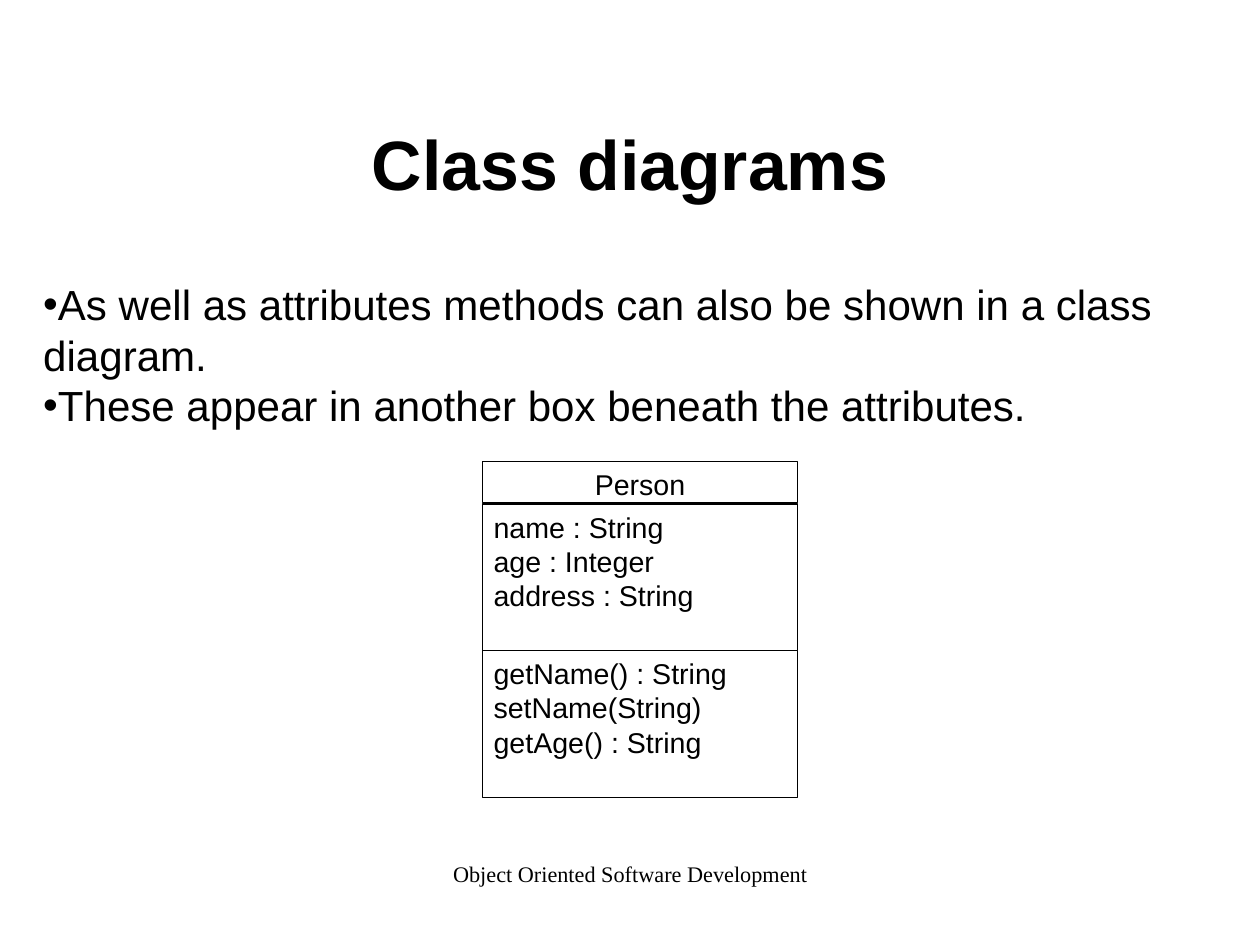
import pptx
import pptx.util
import pptx.dml.color
import pptx.enum.shapes
import pptx.enum.text
import pptx.oxml.ns
from lxml import etree

Inches = pptx.util.Inches
BLACK = pptx.dml.color.RGBColor(0, 0, 0)
WHITE = pptx.dml.color.RGBColor(255, 255, 255)
ALIGN = pptx.enum.text.PP_ALIGN
ANCHOR = pptx.enum.text.MSO_ANCHOR


def write(frame, lines, size, align=ALIGN.LEFT, font="Arial", bold=False, bullet=False):
    frame.word_wrap = True
    for i, line in enumerate(lines):
        para = frame.add_paragraph() if i else frame.paragraphs[0]
        para.text = line
        para.alignment = align
        if bullet:
            props = para._p.get_or_add_pPr()
            props.set("marL", "0")
            props.set("indent", "0")
            face = etree.SubElement(props, pptx.oxml.ns.qn("a:buFont"))
            face.set("typeface", font)
            mark = etree.SubElement(props, pptx.oxml.ns.qn("a:buChar"))
            mark.set("char", "•")
        para.font.name = font
        para.font.size = pptx.util.Pt(size)
        para.font.bold = bold
        para.font.color.rgb = BLACK


deck = pptx.Presentation()
deck.slide_width = Inches(28 / 2.54)
deck.slide_height = Inches(21 / 2.54)
slide = deck.slides.add_slide(deck.slide_layouts[5])
shapes = slide.shapes

foot = shapes.add_textbox(Inches(3.77), Inches(7.53), Inches(3.49), Inches(0.57)).text_frame
foot.margin_left = foot.margin_right = foot.margin_top = foot.margin_bottom = 0
write(foot, ["Object Oriented Software Development"], 14, ALIGN.CENTER, "Times New Roman")

title = shapes.title
title.left, title.top = Inches(0.83), Inches(1)
title.width, title.height = Inches(9.37), Inches(0.84)
title.text_frame.vertical_anchor = ANCHOR.MIDDLE
write(title.text_frame, ["Class diagrams"], 44, ALIGN.CENTER, bold=True)

body = shapes.add_textbox(Inches(0.28), Inches(2.39), Inches(10.38), Inches(1.43))
write(body.text_frame, [
    "As well as attributes methods can also be shown in a class diagram.",
    "These appear in another box beneath the attributes.",
], 26.5, bullet=True)

parts = [
    (4.04, 0.36, ALIGN.CENTER, ["Person"]),
    (4.41, 1.29, ALIGN.LEFT, ["name : String", "age : Integer", "address : String"]),
    (5.69, 1.29, ALIGN.LEFT, ["getName() : String", "setName(String)", "getAge() : String"]),
]
for top, height, align, lines in parts:
    box = shapes.add_shape(pptx.enum.shapes.MSO_SHAPE.RECTANGLE,
                           Inches(4.22), Inches(top), Inches(2.76), Inches(height))
    box.shadow.inherit = False
    box.fill.solid()
    box.fill.fore_color.rgb = WHITE
    box.line.color.rgb = BLACK
    box.line.width = pptx.util.Pt(0.75)
    box.text_frame.vertical_anchor = ANCHOR.TOP
    write(box.text_frame, lines, 18, align)

deck.save("out.pptx")
